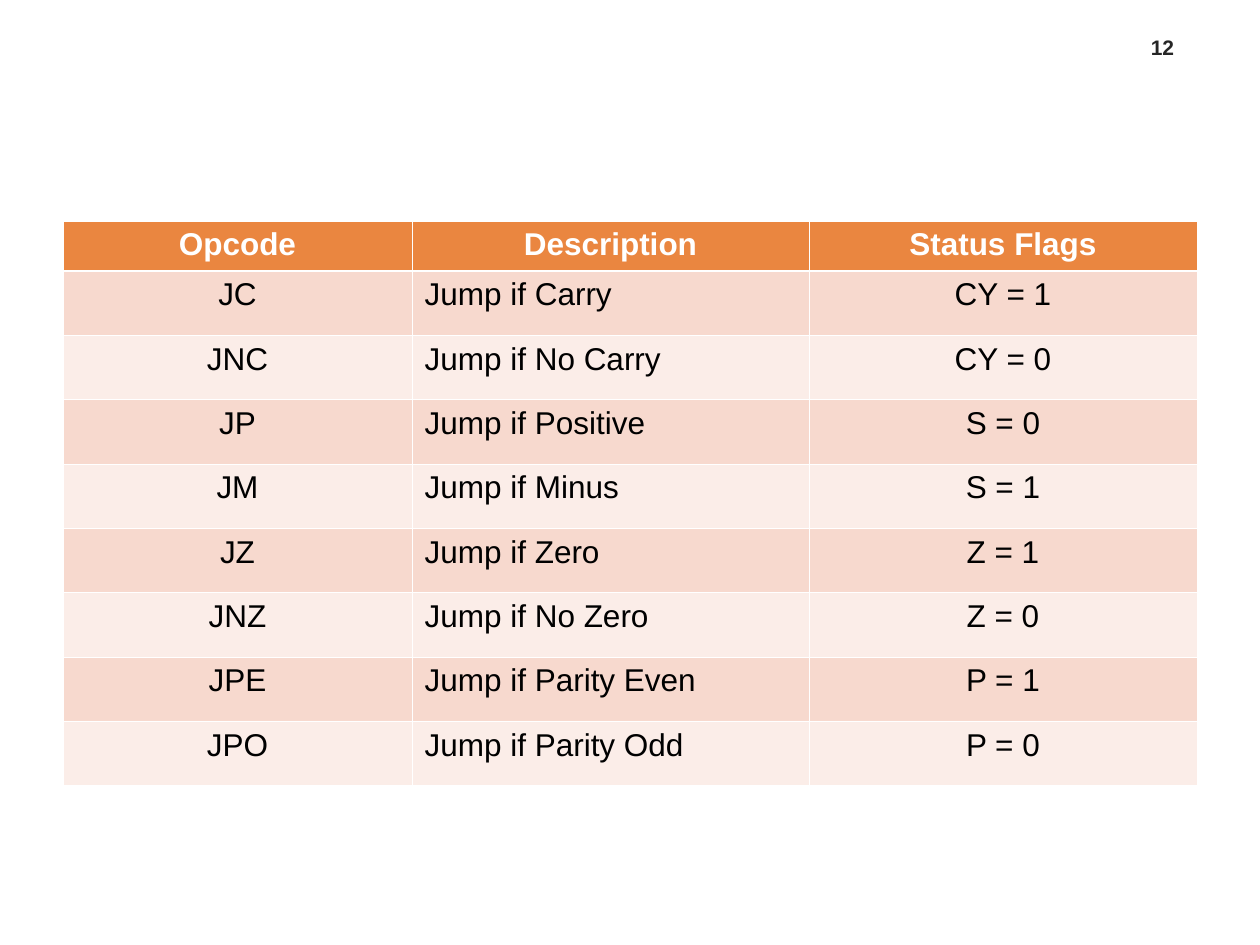
from dataclasses import dataclass

from lxml.etree import SubElement
from pptx import Presentation
from pptx.dml.color import RGBColor
from pptx.enum.text import MSO_ANCHOR as Anchor, PP_ALIGN as Align
from pptx.oxml.ns import qn
from pptx.util import Emu, Pt

EMU_PER_PX = 914400 / 126

WHITE = RGBColor(0xFF, 0xFF, 0xFF)
BLACK = RGBColor(0x00, 0x00, 0x00)
CHARCOAL = RGBColor(0x26, 0x26, 0x26)
ORANGE = RGBColor(0xEA, 0x86, 0x40)
BANDS = (RGBColor(0xF7, 0xD9, 0xCE), RGBColor(0xFB, 0xED, 0xE8))

HEADER_FORMAT = {"name": "Arial", "size": Pt(18), "bold": True}
BODY_FORMAT = {"name": "Arial", "size": Pt(18), "bold": False}
NUMBER_FORMAT = {"name": "Arial", "size": Pt(12), "bold": True}

THIN, THICK = Pt(0.45), Pt(1.47)
HEADER_HEIGHT, BODY_HEIGHT = 50, 515


@dataclass(frozen=True)
class Column:
    heading: str
    width: int
    align: Align


@dataclass(frozen=True)
class Jump:
    opcode: str
    description: str
    flag: str


COLUMNS = (
    Column("Opcode", 349, Align.CENTER),
    Column("Description", 397, Align.LEFT),
    Column("Status Flags", 388, Align.CENTER),
)

JUMPS = (
    Jump("JC", "Jump if Carry", "CY = 1"),
    Jump("JNC", "Jump if No Carry", "CY = 0"),
    Jump("JP", "Jump if Positive", "S = 0"),
    Jump("JM", "Jump if Minus", "S = 1"),
    Jump("JZ", "Jump if Zero", "Z = 1"),
    Jump("JNZ", "Jump if No Zero", "Z = 0"),
    Jump("JPE", "Jump if Parity Even", "P = 1"),
    Jump("JPO", "Jump if Parity Odd", "P = 0"),
)


def px(length: int) -> Emu:
    return Emu(round(length * EMU_PER_PX))


def write(frame, text: str, align: Align, font_format: dict, color: RGBColor) -> None:
    para = frame.paragraphs[0]
    para.alignment = align
    span = para.add_run()
    span.text = text
    for attribute, value in font_format.items():
        setattr(span.font, attribute, value)
    span.font.color.rgb = color


def add_borders(cell, top: Emu, bottom: Emu) -> None:
    """Draw white cell borders; call before filling the cell to keep the XML order."""
    properties = cell._tc.get_or_add_tcPr()
    for side, width in {"L": THIN, "R": THIN, "T": top, "B": bottom}.items():
        line = SubElement(properties, qn(f"a:ln{side}"), w=str(width))
        fill = SubElement(line, qn("a:solidFill"))
        SubElement(fill, qn("a:srgbClr"), val=str(WHITE))


def paint(cell, color: RGBColor) -> None:
    cell.fill.solid()
    cell.fill.fore_color.rgb = color


def add_jump_table(slide) -> None:
    width = sum(column.width for column in COLUMNS)
    table = slide.shapes.add_table(
        len(JUMPS) + 1, len(COLUMNS), px(63), px(221),
        px(width), px(HEADER_HEIGHT + BODY_HEIGHT),
    ).table
    table.rows[0].height = px(HEADER_HEIGHT)
    for row_index in range(1, len(JUMPS) + 1):
        table.rows[row_index].height = Emu(px(BODY_HEIGHT) // len(JUMPS))

    for column_index, column in enumerate(COLUMNS):
        table.columns[column_index].width = px(column.width)
        header = table.cell(0, column_index)
        write(header.text_frame, column.heading, Align.CENTER, HEADER_FORMAT, WHITE)
        add_borders(header, THIN, THICK)
        paint(header, ORANGE)

    for row_index, jump in enumerate(JUMPS):
        texts = (jump.opcode, jump.description, jump.flag)
        for column_index, (column, text) in enumerate(zip(COLUMNS, texts)):
            cell = table.cell(row_index + 1, column_index)
            write(cell.text_frame, text, column.align, BODY_FORMAT, BLACK)
            add_borders(cell, THICK if row_index == 0 else THIN, THIN)
            paint(cell, BANDS[row_index % 2])


def add_page_number(slide, number: str) -> None:
    box = slide.shapes.add_textbox(px(1128), px(24), px(69), px(42))
    frame = box.text_frame
    frame.word_wrap = True
    frame.vertical_anchor = Anchor.BOTTOM
    write(frame, number, Align.CENTER, NUMBER_FORMAT, CHARCOAL)


def main() -> None:
    deck = Presentation()
    deck.slide_width, deck.slide_height = px(1260), px(945)
    page = deck.slides.add_slide(deck.slide_layouts[6])
    add_jump_table(page)
    add_page_number(page, "12")
    deck.save("out.pptx")


if __name__ == "__main__":
    main()
